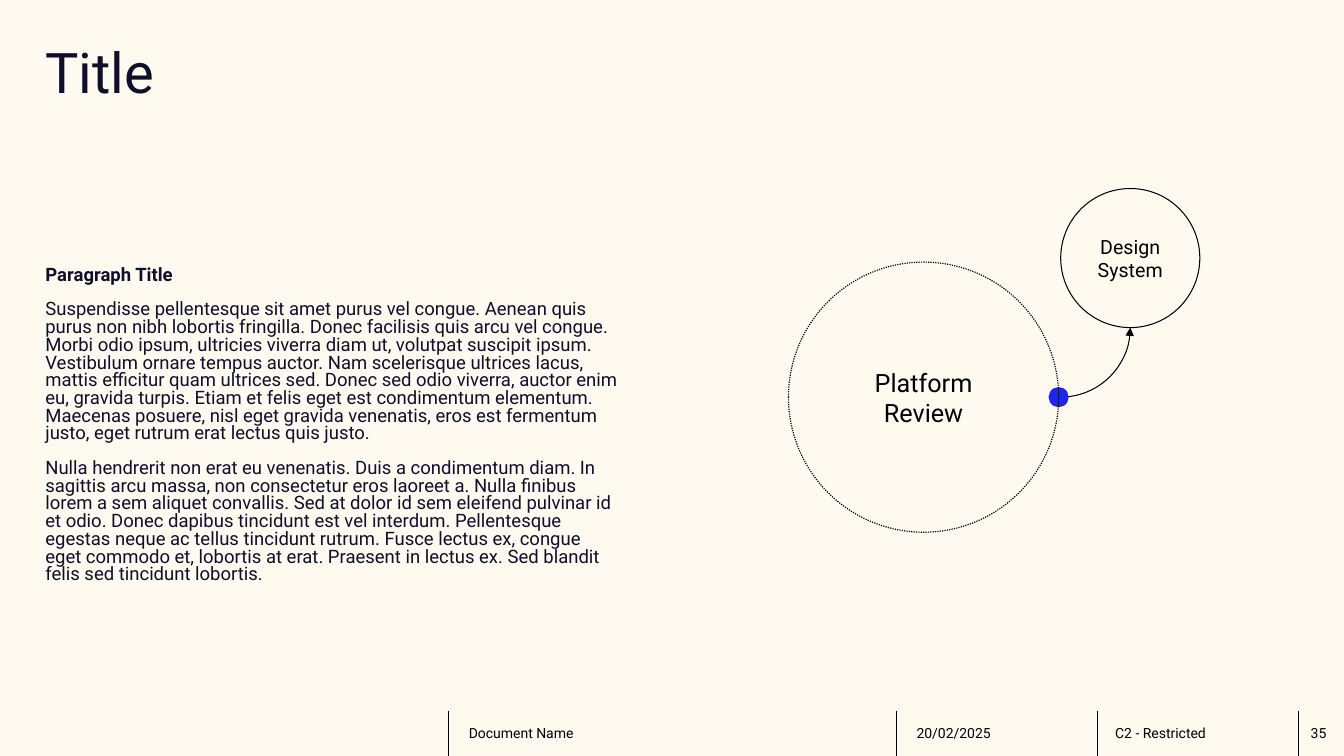
from lxml.etree import SubElement
from pptx import Presentation
from pptx.dml.color import RGBColor
from pptx.enum.dml import MSO_LINE
from pptx.enum.shapes import MSO_CONNECTOR, MSO_SHAPE
from pptx.enum.text import MSO_ANCHOR, PP_ALIGN
from pptx.oxml.ns import qn
from pptx.util import Inches, Pt

BACKGROUND = "FFFAF0"
NAVY = "0F0E2B"
BLACK = "000000"
BLUE = "1F24E9"

PARAGRAPH_TITLE = "Paragraph Title"
BODY = [
    "Suspendisse pellentesque sit amet purus vel congue. Aenean quis purus non nibh lobortis fringilla. "
    "Donec facilisis quis arcu vel congue. Morbi odio ipsum, ultricies viverra diam ut, volutpat suscipit "
    "ipsum. Vestibulum ornare tempus auctor. Nam scelerisque ultrices lacus, mattis efficitur quam ultrices "
    "sed. Donec sed odio viverra, auctor enim eu, gravida turpis. Etiam et felis eget est condimentum "
    "elementum. Maecenas posuere, nisl eget gravida venenatis, eros est fermentum justo, eget rutrum erat "
    "lectus quis justo.",
    "Nulla hendrerit non erat eu venenatis. Duis a condimentum diam. In sagittis arcu massa, non consectetur "
    "eros laoreet a. Nulla finibus lorem a sem aliquet convallis. Sed at dolor id sem eleifend pulvinar id et "
    "odio. Donec dapibus tincidunt est vel interdum. Pellentesque egestas neque ac tellus tincidunt rutrum. "
    "Fusce lectus ex, congue eget commodo et, lobortis at erat. Praesent in lectus ex. Sed blandit felis sed "
    "tincidunt lobortis.",
]

FOOTER_TOP, FOOTER_HEIGHT = 7.05, 0.45
# Left edge, width, left inset, text
FOOTER_CELLS = [
    (4.45, 4.43, 0.2, "Document Name"),
    (8.89, 1.99, 0.2, "20/02/2025"),
    (10.89, 1.99, 0.17, "C2 - Restricted"),
    (12.88, 0.45, 0.12, "35"),
]


def color(value):
    return RGBColor.from_string(value)


class SlideBuilder:
    font_name = "Roboto"

    def __init__(self, slide):
        self.slide = slide
        slide.background.fill.solid()
        slide.background.fill.fore_color.rgb = color(BACKGROUND)

    def style(self, paragraph, size, font_color, bold=False):
        font = paragraph.font
        font.name = self.font_name
        font.size = Pt(size)
        font.bold = bold
        font.color.rgb = color(font_color)

    def text(self, left, top, width, height, texts, size, font_color,
             inset=0, anchor=MSO_ANCHOR.TOP, line_spacing=None, bold_first=False):
        box = self.slide.shapes.add_textbox(Inches(left), Inches(top), Inches(width), Inches(height))
        frame = box.text_frame
        frame.word_wrap = True
        frame.vertical_anchor = anchor
        frame.margin_left = Inches(inset)
        frame.margin_top = frame.margin_right = frame.margin_bottom = 0
        frame.text = "\n".join(texts)
        for index, paragraph in enumerate(frame.paragraphs):
            paragraph.line_spacing = line_spacing
            if index:
                paragraph.space_before = Pt(12)
            self.style(paragraph, size, font_color, bold_first and index == 0)

    def divider(self, x):
        line = self.slide.shapes.add_connector(
            MSO_CONNECTOR.STRAIGHT, Inches(x), Inches(FOOTER_TOP),
            Inches(x), Inches(FOOTER_TOP + FOOTER_HEIGHT))
        line.line.color.rgb = color(BLACK)
        line.line.width = Pt(0.75)
        SubElement(line._element.spPr, qn("a:effectLst"))

    def round_shape(self, kind, left, top, diameter, fill=None, line_width=None):
        shape = self.slide.shapes.add_shape(
            kind, Inches(left), Inches(top), Inches(diameter), Inches(diameter))
        shape.shadow.inherit = False
        if fill:
            shape.fill.solid()
            shape.fill.fore_color.rgb = color(fill)
        else:
            shape.fill.background()
        if line_width:
            shape.line.color.rgb = color(BLACK)
            shape.line.width = Pt(line_width)
        else:
            shape.line.fill.background()
        return shape

    def dot(self, left, top, diameter):
        self.round_shape(MSO_SHAPE.OVAL, left, top, diameter, fill=BLUE)

    def labelled_circle(self, left, top, diameter, label, size, line_width=0.75, dash=None):
        circle = self.round_shape(MSO_SHAPE.OVAL, left, top, diameter, line_width=line_width)
        if dash:
            circle.line.dash_style = dash
        frame = circle.text_frame
        frame.word_wrap = True
        frame.vertical_anchor = MSO_ANCHOR.MIDDLE
        frame.text = label
        paragraph = frame.paragraphs[0]
        paragraph.alignment = PP_ALIGN.CENTER
        self.style(paragraph, size, BLACK)

    def arc_arrow(self, left, top, diameter):
        """Draw the lower right quarter of a circle, with an arrowhead at its upper end."""
        arc = self.round_shape(MSO_SHAPE.ARC, left, top, diameter, line_width=0.75)
        arc._element.spPr.get_or_add_xfrm().set("flipV", "1")
        SubElement(arc.line._get_or_add_ln(), qn("a:tailEnd"), type="triangle")


def main():
    presentation = Presentation()
    presentation.slide_width = Inches(13.33)
    presentation.slide_height = Inches(7.5)
    builder = SlideBuilder(presentation.slides.add_slide(presentation.slide_layouts[6]))

    builder.text(0.45, 0.45, 5.71, 1.65, ["Title"], 40, NAVY, line_spacing=0.9)
    builder.text(0.45, 2.65, 5.71, 3.86, [PARAGRAPH_TITLE, *BODY], 13.2, NAVY,
                 line_spacing=0.8, bold_first=True)

    for left, width, inset, label in FOOTER_CELLS:
        builder.divider(left)
        builder.text(left, FOOTER_TOP, width, FOOTER_HEIGHT, [label], 10, BLACK,
                     inset=inset, anchor=MSO_ANCHOR.MIDDLE)

    builder.arc_arrow(9.83, 2.56, 1.38)
    builder.dot(10.4, 3.84, 0.2)
    builder.labelled_circle(7.82, 2.6, 2.68, "Platform Review", 18, 0.85, MSO_LINE.ROUND_DOT)
    builder.labelled_circle(10.52, 1.87, 1.38, "Design System", 14)

    presentation.save("out.pptx")


if __name__ == "__main__":
    main()
